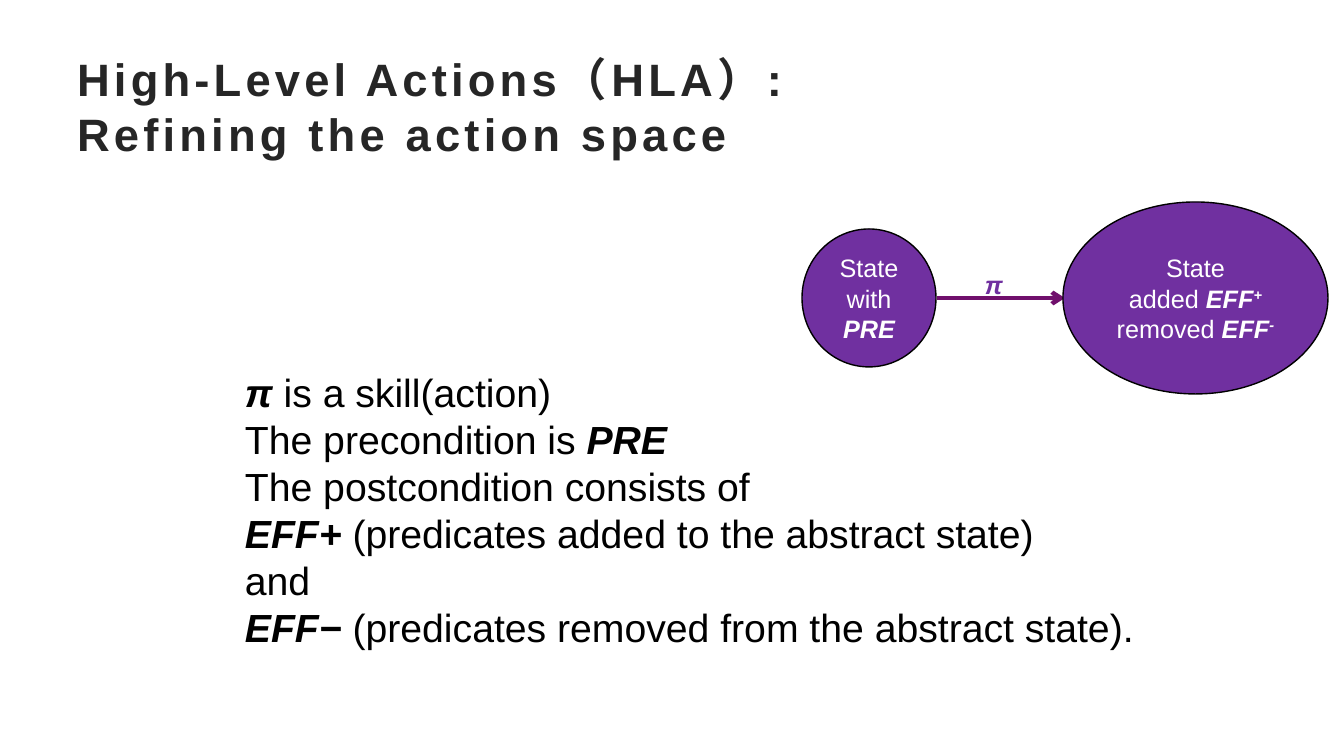
from pptx import Presentation
from pptx.dml.color import RGBColor
from pptx.enum.shapes import MSO_CONNECTOR, MSO_SHAPE
from pptx.enum.text import MSO_ANCHOR, PP_ALIGN
from pptx.oxml.ns import qn
from pptx.util import Pt
from lxml.etree import SubElement

PX = 914400 / 100.8
BLACK = RGBColor(0x00, 0x00, 0x00)
WHITE = RGBColor(0xFF, 0xFF, 0xFF)
DARK = RGBColor(0x26, 0x26, 0x26)
PURPLE = RGBColor(0x70, 0x30, 0xA0)
PLUM = RGBColor(0x70, 0x0F, 0x6C)

STATE_Y = 298  # shared centre line of the two states and the arrow


def px(*vals):
    return [round(val * PX) for val in vals]


def write(frame, lines, size, color, align=PP_ALIGN.LEFT, bold=False, space=0):
    """Fill a frame; a line lists runs, "*" marks bold italic and "^" a superscript."""
    for num, line in enumerate(lines):
        para = frame.paragraphs[0] if num == 0 else frame.add_paragraph()
        para.alignment = align
        for text in line:
            mark = text[0] if text[0] in "*^" else ""
            for part, piece in enumerate(text[len(mark):].split("\n")):
                if part:
                    para.add_line_break()
                run = para.add_run()
                run.text = piece
                font = run.font
                font.name, font.size = "Arial", Pt(size)
                font.color.rgb = color
                font.bold = bold or bool(mark)
                font.italic = bool(mark)
                props = run._r.get_or_add_rPr()
                if mark == "^":
                    props.set("baseline", "30000")
                if space:
                    props.set("spc", str(space * 100))


def add_title(slide, lines):
    title = slide.shapes.title
    title.left, title.top, title.width, title.height = px(67, 67, 1210, 78)
    frame = title.text_frame
    frame.word_wrap = True
    frame.vertical_anchor = MSO_ANCHOR.MIDDLE
    write(frame, lines, 32.4, DARK, bold=True, space=3)


def add_state(slide, left, wide, high, lines):
    box = px(left, STATE_Y - high / 2, wide, high)
    state = slide.shapes.add_shape(MSO_SHAPE.OVAL, *box)
    state.shadow.inherit = False
    state.fill.solid()
    state.fill.fore_color.rgb = PURPLE
    state.line.color.rgb = BLACK
    state.line.width = Pt(1)
    state.text_frame.word_wrap = True
    state.text_frame.vertical_anchor = MSO_ANCHOR.MIDDLE
    write(state.text_frame, lines, 18, WHITE, PP_ALIGN.CENTER)


def add_arrow(slide, start, end):
    ends = px(start, STATE_Y, end, STATE_Y)
    arrow = slide.shapes.add_connector(MSO_CONNECTOR.STRAIGHT, *ends)
    arrow.line.color.rgb = PLUM
    arrow.line.width = Pt(3)
    SubElement(arrow.line._get_or_add_ln(), qn("a:tailEnd"), type="arrow")
    SubElement(arrow._element.spPr, qn("a:effectLst"))


def add_text(slide, box, lines, size, color):
    frame = slide.shapes.add_textbox(*px(*box)).text_frame
    frame.word_wrap = False
    write(frame, lines, size, color)


def main():
    deck = Presentation()
    deck.slide_width, deck.slide_height = px(1344, 756)
    slide = deck.slides.add_slide(deck.slide_layouts[5])
    add_title(slide, [["High-Level Actions（HLA）:\nRefining the action space"]])
    add_state(slide, 802, 134, 138, [["State\nwith ", "*PRE"]])
    add_arrow(slide, 937, 1065)
    add_state(slide, 1063, 265, 192, [
        ["State"],
        ["added ", "*EFF", "^+"],
        ["removed ", "*EFF", "^-"],
    ])
    add_text(slide, (975, 264, 39, 40), [["*π"]], 18, PURPLE)
    add_text(slide, (235, 363, 910, 295), [
        ["*π", " is a skill(action)"],
        ["The precondition is ", "*PRE"],
        ["The postcondition consists of"],
        ["*EFF+", " (predicates added to the abstract state)"],
        ["and"],
        ["*EFF−", " (predicates removed from the abstract state)."],
    ], 28, BLACK)
    deck.save("out.pptx")


if __name__ == "__main__":
    main()
